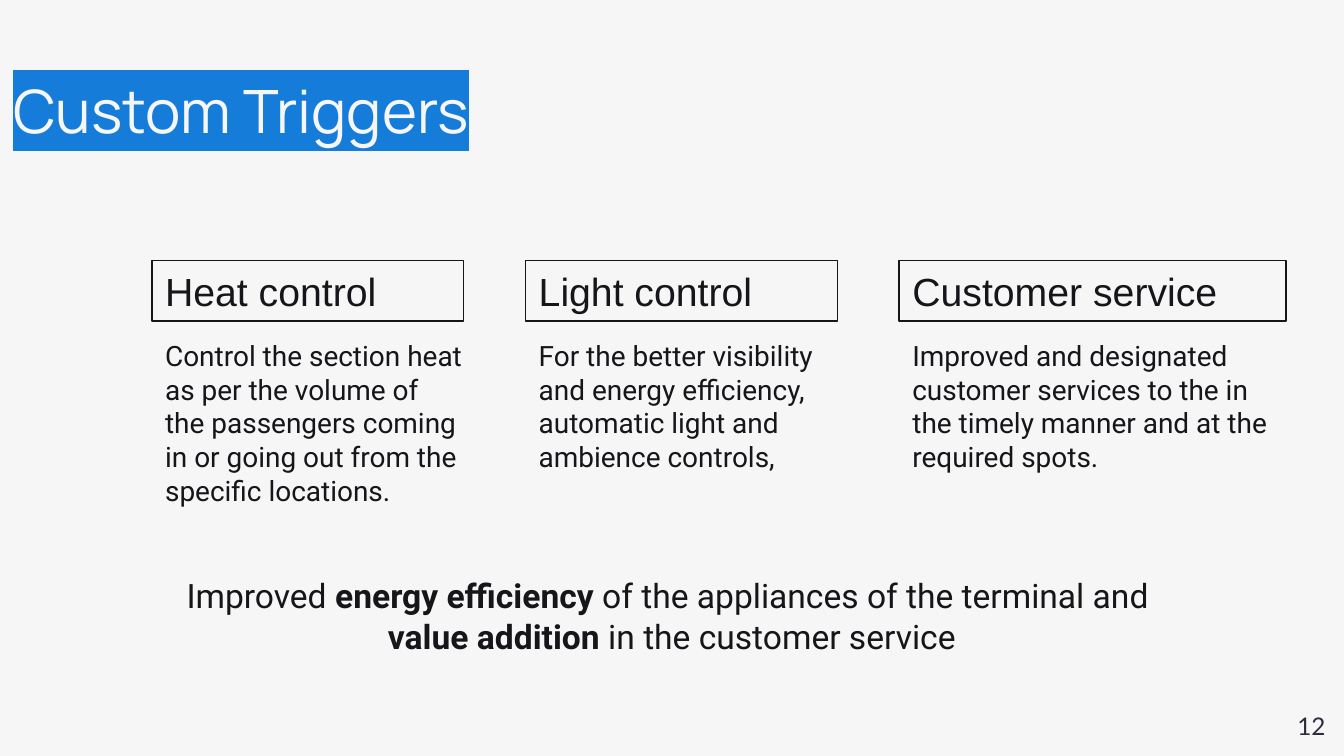
from lxml import etree
from pptx import Presentation
from pptx.dml.color import RGBColor
from pptx.enum.shapes import MSO_SHAPE
from pptx.enum.text import MSO_ANCHOR, PP_ALIGN
from pptx.oxml.ns import qn
from pptx.util import Inches, Pt

RECTANGLE = MSO_SHAPE.RECTANGLE
TOP, MIDDLE = MSO_ANCHOR.TOP, MSO_ANCHOR.MIDDLE
LEFT, CENTER, RIGHT = PP_ALIGN.LEFT, PP_ALIGN.CENTER, PP_ALIGN.RIGHT
INK, PAPER, BLUE, SLATE = "161519", "F6F6F6", "157DD9", "302C3E"

# Content
TITLE = "Custom Triggers"
TRIGGERS = [  # heading, description, heading width, description width
    ("Heat control",
     "Control the section heat as per the volume of the passengers coming in "
     "or going out from the specific locations.", 2.32, 2.42),
    ("Light control",
     "For the better visibility and energy efficiency, automatic light and "
     "ambience controls,", 2.32, 2.32),
    ("Customer service",
     "Improved and designated customer services to the in the timely manner "
     "and at the required spots.", 2.88, 2.88),
]
SUMMARY = [  # lines of (text, bold)
    [("Improved ", False), ("energy efficiency", True),
     (" of the appliances of the terminal and ", False)],
    [("value addition ", True), ("in the customer service", False)],
]
PAGE_NUMBER = "12"

# Layout
FIRST_LEFT, COLUMN_STEP = 1.13, 2.78
HEADING_TOP, HEADING_HEIGHT = 1.94, 0.45
DESCRIPTION_TOP, DESCRIPTION_HEIGHT = 2.42, 1.72


def color(value):
    return RGBColor.from_string(value)


def write(shape, lines, size, font, ink=INK, align=LEFT, anchor=TOP):
    """Fill a shape with lines, each a list of (text, bold)."""
    frame = shape.text_frame
    frame.word_wrap = True
    frame.vertical_anchor = anchor
    frame.margin_left = frame.margin_right = Inches(0.1)
    frame.margin_top = frame.margin_bottom = Inches(0.1)
    for index, line in enumerate(lines):
        para = frame.add_paragraph() if index else frame.paragraphs[0]
        para.alignment = align
        para.font.size = Pt(size)
        para.font.name = font
        para.font.color.rgb = color(ink)
        for text, bold in line:
            span = para.add_run()
            span.text = text
            if bold:
                span.font.bold = True


def add_text(page, area, lines, *style, **options):
    box = page.shapes.add_textbox(*map(Inches, area))
    write(box, lines, *style, **options)
    return box


def add_heading(page, area, text):
    box = page.shapes.add_shape(RECTANGLE, *map(Inches, area))
    box.shadow.inherit = False
    box.fill.background()
    box.line.color.rgb = color(INK)
    box.line.width = Pt(0.75)
    write(box, [[(text, False)]], 21, "Arial", anchor=MIDDLE)


def highlight(span, ink, marker):
    span.font.color.rgb = color(ink)
    fill = span.font._element.find(qn("a:solidFill"))
    mark = etree.Element(qn("a:highlight"))
    etree.SubElement(mark, qn("a:srgbClr")).set("val", marker)
    fill.addnext(mark)


# Widescreen page, 16:9
deck = Presentation()
deck.slide_width = Inches(10)
deck.slide_height = Inches(10) * 9 // 16
page = deck.slides.add_slide(deck.slide_layouts[6])
page.background.fill.solid()
page.background.fill.fore_color.rgb = color(PAPER)

# Title on a highlighter band
title = add_text(page, (0, 0.5, 8.44, 0.63), [[(TITLE, False)]],
                 32, "Manrope", PAPER, anchor=MIDDLE)
highlight(title.text_frame.paragraphs[0].runs[0], PAPER, BLUE)

# Trigger columns
for column, (heading, description, heading_width, width) in enumerate(TRIGGERS):
    left = FIRST_LEFT + column * COLUMN_STEP
    add_heading(page, (left, HEADING_TOP, heading_width, HEADING_HEIGHT), heading)
    add_text(page, (left, DESCRIPTION_TOP, width, DESCRIPTION_HEIGHT),
             [[(description, False)]], 15, "Roboto")

# Summary and page number
add_text(page, (1.18, 4.18, 7.64, 0.63), SUMMARY, 18, "Roboto", align=CENTER)
add_text(page, (9.36, 5.19, 0.6, 0.43), [[(PAGE_NUMBER, False)]],
         13, "Lato", SLATE, align=RIGHT)

deck.save("out.pptx")
